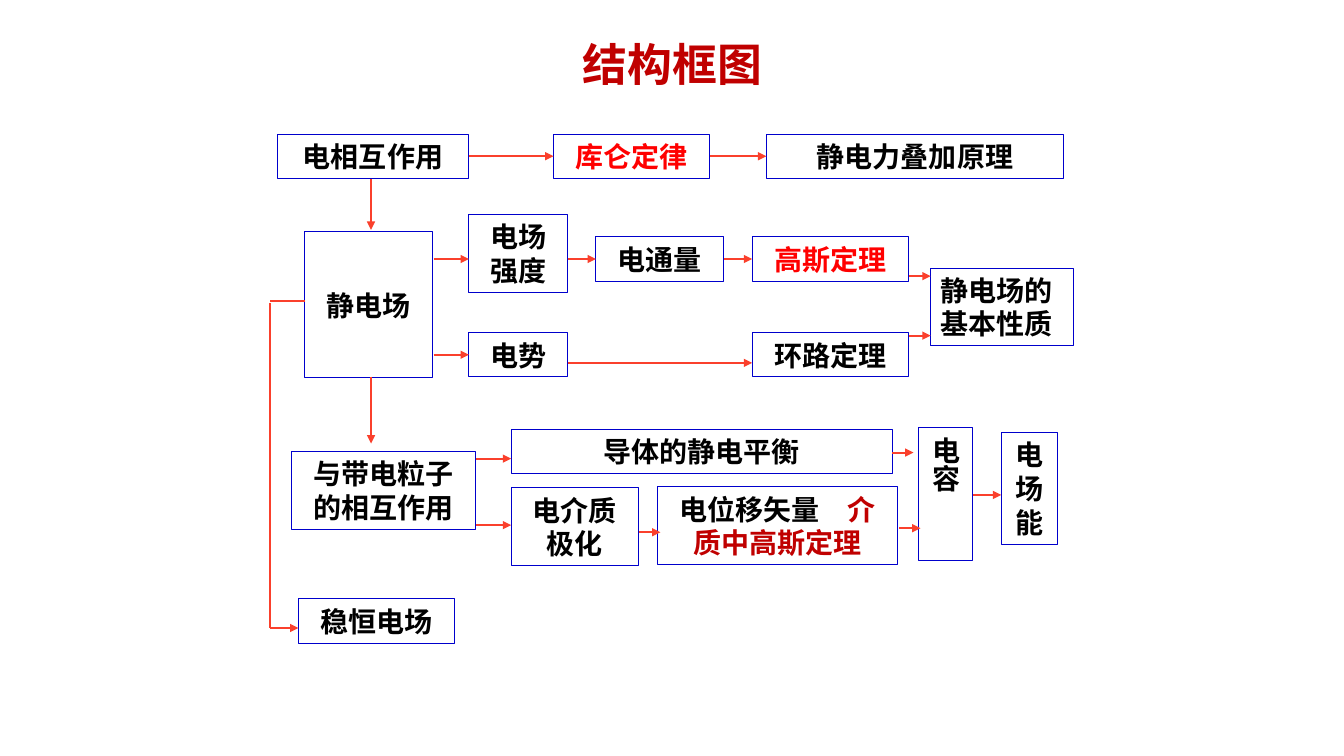
import pptx
import pptx.util
import pptx.dml.color
import pptx.enum.shapes
import pptx.enum.text
import pptx.oxml.ns
import lxml.etree

Inches = pptx.util.Inches
CENTER = pptx.enum.text.PP_ALIGN.CENTER
LEFT = pptx.enum.text.PP_ALIGN.LEFT


def color(value):
    return pptx.dml.color.RGBColor.from_string(value)


def add_text(para, text, size=20, font="Noto Sans CJK SC", fill="000000", align=CENTER):
    para.alignment = align
    span = para.add_run()
    span.text = text
    span.font.size = pptx.util.Pt(size)
    span.font.bold = True
    span.font.name = font
    span.font.color.rgb = color(fill)
    east_asian = lxml.etree.SubElement(span._r.get_or_add_rPr(), pptx.oxml.ns.qn("a:ea"))
    east_asian.set("typeface", "Noto Sans CJK SC")


deck = pptx.Presentation()
deck.slide_width = Inches(13.33)
deck.slide_height = Inches(7.5)
page = deck.slides.add_slide(deck.slide_layouts[5])

title = page.shapes.title
title.left, title.top, title.width, title.height = map(Inches, (5.42, 0.31, 2.5, 0.64))
title.text_frame.vertical_anchor = pptx.enum.text.MSO_ANCHOR.MIDDLE
add_text(title.text_frame.paragraphs[0], "结构框图", size=32, font="Times New Roman", fill="C00000")

boxes = [
    ("电相互作用", 2.75, 1.33, 1.9, 0.44, {}),
    ("库仑定律", 5.49, 1.33, 1.55, 0.44, {"fill": "FF0000"}),
    ("静电力叠加原理", 7.6, 1.33, 2.95, 0.44, {}),
    ("静电场", 3.02, 2.3, 1.27, 1.45, {}),
    ("电场强度", 4.65, 2.13, 0.98, 0.77, {}),
    ("电通量", 5.91, 2.35, 1.27, 0.44, {}),
    ("高斯定理", 7.46, 2.35, 1.55, 0.44, {"fill": "FF0000"}),
    ("电势", 4.65, 3.3, 0.98, 0.44, {}),
    ("环路定理", 7.46, 3.3, 1.55, 0.44, {}),
    ("静电场的基本性质", 9.23, 2.66, 1.42, 0.77, {"align": LEFT}),
    ("与带电粒子的相互作用", 2.89, 4.48, 1.83, 0.77, {}),
    ("导体的静电平衡", 5.07, 4.26, 3.78, 0.44, {}),
    ("电介质极化", 5.07, 4.84, 1.26, 0.77, {}),
    ("电位移矢量　", 6.52, 4.83, 2.38, 0.77, {}),
    ("电容", 9.11, 4.24, 0.54, 1.32, {"align": LEFT}),
    ("电场能", 9.93, 4.29, 0.56, 1.11, {}),
    ("稳恒电场", 2.96, 5.94, 1.55, 0.44, {}),
]
for text, left, top, width, height, style in boxes:
    box = page.shapes.add_shape(
        pptx.enum.shapes.MSO_SHAPE.RECTANGLE, *map(Inches, (left, top, width, height)))
    box.shadow.inherit = False
    box.fill.background()
    box.line.color.rgb = color("0000CC")
    box.line.width = pptx.util.Pt(0.75)
    frame = box.text_frame
    frame.word_wrap = True
    frame.vertical_anchor = pptx.enum.text.MSO_ANCHOR.MIDDLE
    para = frame.paragraphs[0]
    add_text(para, text, **style)
    if text == "电位移矢量　":
        add_text(para, "介质中高斯定理", fill="C00000")
    if text == "电容":
        frame._txBody.bodyPr.set("vert", "eaVert")

arrows = [
    (4.65, 1.55, 5.49, 1.55),
    (7.04, 1.55, 7.6, 1.55),
    (3.68, 1.78, 3.68, 2.28),
    (3.68, 3.74, 3.68, 4.4),
    (4.3, 2.57, 4.65, 2.57),
    (5.63, 2.57, 5.91, 2.57),
    (7.18, 2.57, 7.46, 2.57),
    (9.02, 2.74, 9.23, 2.74),
    (4.3, 3.52, 4.65, 3.52),
    (5.63, 3.6, 7.46, 3.6),
    (9.02, 3.33, 9.23, 3.33),
    (4.72, 4.55, 5.07, 4.55),
    (8.85, 4.49, 9.06, 4.49),
    (4.72, 5.21, 5.07, 5.21),
    (6.34, 5.28, 6.55, 5.28),
    (8.92, 5.24, 9.13, 5.24),
    (9.65, 4.91, 9.93, 4.91),
    (2.68, 6.23, 2.96, 6.23),
]
plain_lines = [(3.03, 2.99, 2.68, 2.99), (2.68, 3.01, 2.68, 6.23)]
for ends in arrows + plain_lines:
    link = page.shapes.add_connector(
        pptx.enum.shapes.MSO_CONNECTOR.STRAIGHT, *map(Inches, ends))
    link.line.color.rgb = color("FA402C")
    link.line.width = pptx.util.Pt(1.5)
    if ends in arrows:
        head = lxml.etree.SubElement(link.line._get_or_add_ln(), pptx.oxml.ns.qn("a:tailEnd"))
        head.set("type", "triangle")
    lxml.etree.SubElement(link._element.spPr, pptx.oxml.ns.qn("a:effectLst"))

deck.save("out.pptx")
